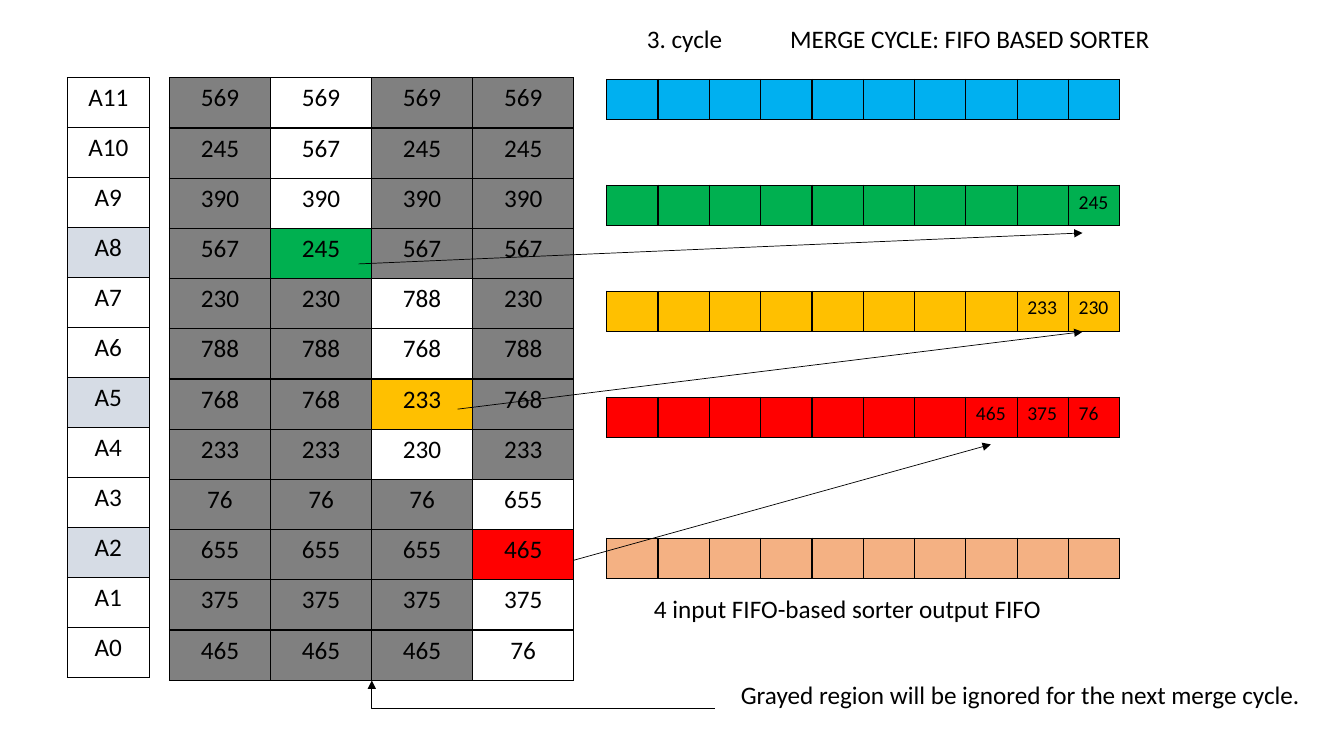
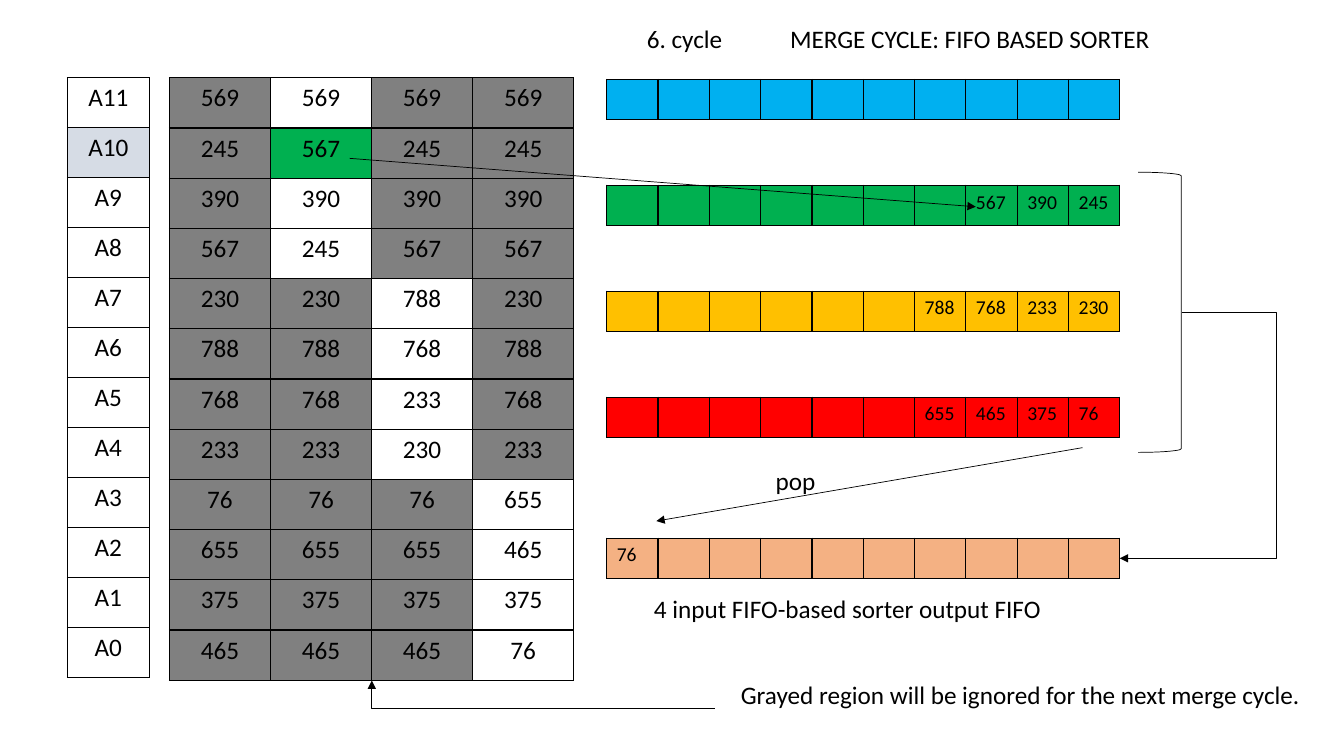
from pptx import Presentation
from pptx.dml.color import RGBColor
from pptx.enum.shapes import MSO_CONNECTOR, MSO_SHAPE
from pptx.enum.text import PP_ALIGN
from pptx.oxml import parse_xml
from pptx.oxml.ns import nsdecls
from pptx.util import Cm, Pt

STRAIGHT = MSO_CONNECTOR.STRAIGHT
ELBOW = MSO_CONNECTOR.ELBOW
BRACKET = MSO_SHAPE.RIGHT_BRACKET
LEFT = PP_ALIGN.LEFT
CENTER = PP_ALIGN.CENTER

BLACK = RGBColor(0x00, 0x00, 0x00)
GRAY = RGBColor(0x80, 0x80, 0x80)
PALE = RGBColor(0xD6, 0xDC, 0xE5)
BLUE = RGBColor(0x00, 0xB0, 0xF0)
GREEN = RGBColor(0x00, 0xB0, 0x50)
GOLD = RGBColor(0xFF, 0xC0, 0x00)
RED = RGBColor(0xFF, 0x00, 0x00)
PEACH = RGBColor(0xF4, 0xB1, 0x83)

FONT = "Calibri"
SLOTS = 10
GROUP = 4
LANES = [BLUE, GREEN, GOLD, RED]
INPUT = [569, 245, 390, 567, 230, 788, 768, 233, 76, 655, 375, 465]


def write(frame, text, size=18, align=LEFT):
    para = frame.paragraphs[0]
    para.alignment = align
    run = para.add_run()
    run.text = str(text)
    run.font.name = FONT
    run.font.size = Pt(size)
    run.font.color.rgb = BLACK


def label(slide, text, left, top, width):
    box = slide.shapes.add_textbox(Cm(left), Cm(top), Cm(width), Cm(1.02))
    box.text_frame.word_wrap = True
    write(box.text_frame, text)


def border(cell):
    props = cell._tc.get_or_add_tcPr()
    for side in ("lnL", "lnR", "lnT", "lnB"):
        props.append(parse_xml(
            f'<a:{side} {nsdecls("a")} w="{Pt(1)}"><a:solidFill>'
            f'<a:srgbClr val="{BLACK}"/></a:solidFill></a:{side}>'))


def grid(slide, rows, fills, left, top, width, height, **style):
    table = slide.shapes.add_table(
        len(rows), len(rows[0]), Cm(left), Cm(top), Cm(width), Cm(height)).table
    table.first_row = False
    table.horz_banding = False
    for r, row in enumerate(rows):
        for c, value in enumerate(row):
            cell = table.cell(r, c)
            border(cell)
            if fills[r][c] is None:
                cell.fill.background()
            else:
                cell.fill.solid()
                cell.fill.fore_color.rgb = fills[r][c]
            if value != "":
                write(cell.text_frame, value, **style)


def fifo(slide, top, fill, before=(), after=()):
    gap = [""] * (SLOTS - len(before) - len(after))
    row = [*before, *gap, *after]
    grid(slide, [row], [[fill] * SLOTS], 15.29, top, 12.93, 1.02, size=14)


def arrow(slide, start, end, kind=STRAIGHT):
    line = slide.shapes.add_connector(kind, *map(Cm, start + end))
    line.line.color.rgb = BLACK
    line.line.width = Pt(0.5)
    props = line._element.spPr
    props.ln.append(parse_xml(f'<a:tailEnd {nsdecls("a")} type="triangle"/>'))
    props.append(parse_xml(f'<a:effectLst {nsdecls("a")}/>'))
    return props


def elbow(slide, start, end, bend=None):
    props = arrow(slide, start, end, ELBOW)
    frame = props.xfrm
    frame.rot = 180
    frame.flipH = False
    frame.flipV = not frame.flipV
    shape = props.prstGeom
    if bend is None:
        shape.set("prst", "bentConnector2")
    else:
        shape.get_or_add_avLst().append(parse_xml(
            f'<a:gd {nsdecls("a")} name="adj1" fmla="val {bend}"/>'))


def merge(slide, marks):
    rows, fills = [], []
    for r, value in enumerate(INPUT):
        own = r // GROUP + 1
        first = r - r % GROUP
        order = sorted(INPUT[first:first + GROUP], reverse=True)
        row, tint = [value] * len(LANES), [GRAY] * len(LANES)
        row[own] = order[r % GROUP]
        tint[own] = LANES[own] if r in marks else None
        rows.append(row)
        fills.append(tint)
    grid(slide, rows, fills, 4.27, 1.96, 10.19, 15.18, align=CENTER)

    count = len(INPUT)
    names = [[f"A{count - 1 - r}"] for r in range(count)]
    tints = [[PALE if r in marks else None] for r in range(count)]
    grid(slide, names, tints, 1.7, 1.96, 2.06, 15.13, align=CENTER)


def cycle(deck, number, marks, queues, output=()):
    slide = deck.slides.add_slide(deck.slide_layouts[6])
    merge(slide, marks)
    elbow(slide, (18.01, 17.86), (9.37, 17.15))
    label(slide, "Grayed region will be ignored for the next merge cycle.",
          18.42, 16.99, 14.71)
    label(slide, "MERGE CYCLE: FIFO BASED SORTER", 19.66, 0.46, 10.62)
    label(slide, f"{number}. cycle", 16.05, 0.46, 3.61)
    for i, (fill, queue) in enumerate(zip(LANES, queues)):
        fifo(slide, 2 + 2.67 * i, fill, after=queue)
    fifo(slide, 13.56, PEACH, before=output)
    label(slide, "4 input FIFO-based sorter output FIFO", 16.23, 14.83, 11.05)
    return slide


def bracket(slide, left, top, width, height):
    shape = slide.shapes.add_shape(
        BRACKET, Cm(left), Cm(top), Cm(width), Cm(height))
    shape.shadow.inherit = False
    shape.fill.background()
    shape.line.color.rgb = BLACK
    shape.line.width = Pt(0.5)


def main():
    deck = Presentation()
    deck.slide_width = Cm(33.87)
    deck.slide_height = Cm(19.05)

    third = cycle(deck, 3, {3, 6, 9}, [[], [245], [233, 230], [465, 375, 76]])
    arrow(third, (14.45, 14.12), (24.97, 11.2))
    arrow(third, (11.53, 10.31), (27.28, 8.36))
    arrow(third, (9.04, 6.65), (27.28, 5.87))

    sixth = cycle(
        deck, 6, {1},
        [[], [567, 390, 245], [788, 768, 233, 230], [655, 465, 375, 76]],
        output=[76])
    arrow(sixth, (8.81, 3.99), (24.59, 5.21))
    bracket(sixth, 28.68, 4.34, 1.09, 7.06)
    elbow(sixth, (29.78, 7.87), (28.22, 14.07), bend=-152700)
    arrow(sixth, (27.28, 11.28), (16.54, 13.13))
    label(sixth, "pop", 19.3, 11.61, 2.26)

    deck.save("out.pptx")


main()
